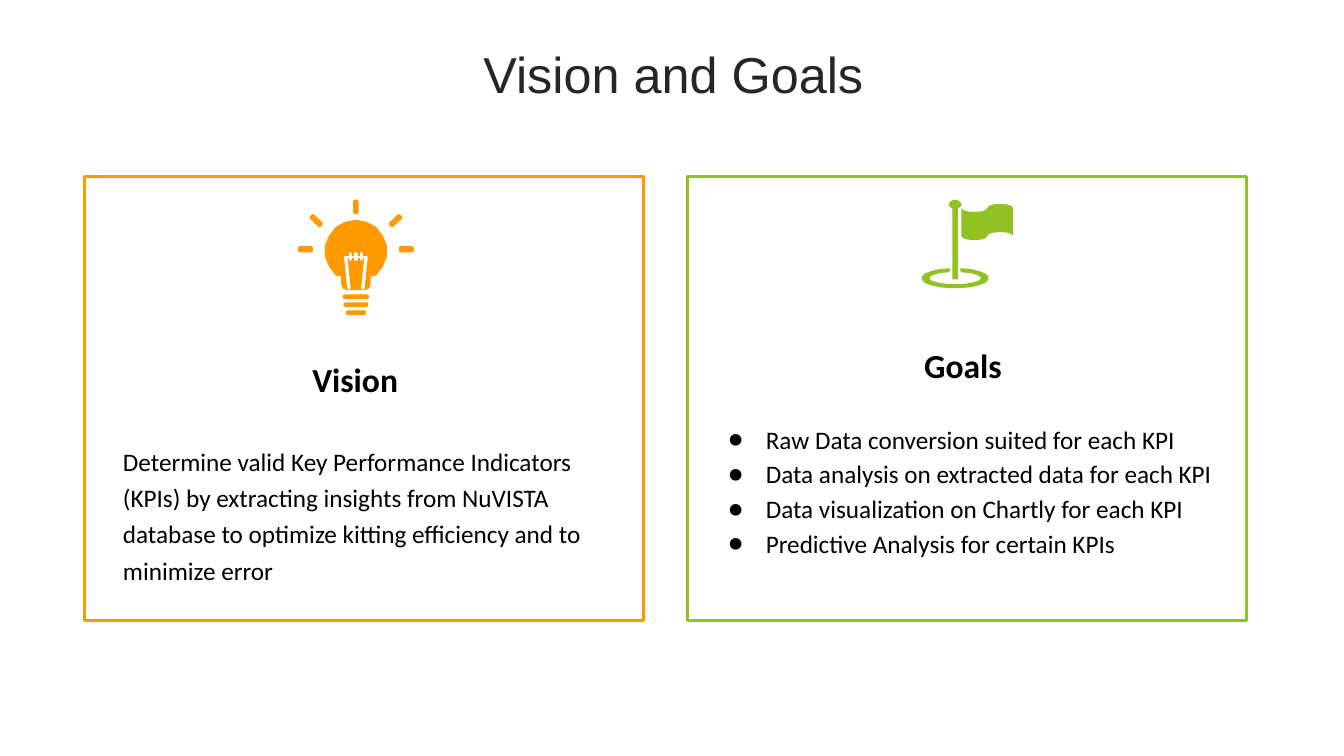
from math import cos, pi, radians, sin
from lxml import etree
from pptx import Presentation, util as u
from pptx.dml.color import RGBColor
from pptx.enum import shapes, text
from pptx.oxml.ns import qn

ORANGE = RGBColor(0xFF, 0x99, 0x00)
GREEN = RGBColor(0x90, 0xC2, 0x21)
BLACK = RGBColor(0, 0, 0)
GREY = RGBColor(0x26, 0x26, 0x26)

deck = Presentation()
deck.slide_width, deck.slide_height = u.Cm(33.87), u.Cm(19.05)
slide = deck.slides.add_slide(deck.slide_layouts[6])


def trace(loops, color):
    pen = slide.shapes.build_freeform(*loops[0][0], scale=u.Cm(0.01))
    for i, loop in enumerate(loops):
        if i:
            pen.move_to(*loop[0])
        pen.add_line_segments(loop[1:])
    icon = pen.convert_to_shape()
    icon.shadow.inherit = False
    icon.fill.solid()
    icon.fill.fore_color.rgb = color
    icon.line.fill.background()


def write(x, y, w, h, lines):
    frame = slide.shapes.add_textbox(u.Cm(x), u.Cm(y), u.Cm(w), u.Cm(h)).text_frame
    frame.word_wrap = True
    frame.margin_top = frame.margin_bottom = u.Cm(0.25)
    frame.text = "\n".join(lines)
    return frame


mid = 897
globe = [(mid + 79 * cos(radians(a)), 633 + 79 * sin(radians(a))) for a in range(130, 411, 20)]
neck = [(37, 697), (37, 716), (33, 727), (22, 731)]
body = globe + [(mid + x, y) for x, y in neck] + [(mid - x, y) for x, y in reversed(neck)]
half = [
    (0, 635), (5, 638), (5, 645), (10, 645), (10, 638), (14, 635), (18, 638), (18, 645),
    (28, 645), (30, 648), (22, 726), (19, 730), (13, 728), (21, 650), (18, 650),
    (18, 655), (14, 658), (10, 655), (10, 650), (5, 650), (5, 655), (0, 658),
]
wire = [(mid - x, y) for x, y in half] + [(mid + x, y) for x, y in half[-2:0:-1]]
bulb = [body, wire]
bars = [
    (0, 748, 66, 13, 0), (0, 768, 61, 13, 0), (0, 788, 51, 13, 0),
    (-127, 628, 38, 15, 0), (-100, 556, 38, 15, 43), (0, 521, 36, 15, 90),
    (100, 556, 38, 15, 137), (127, 628, 38, 15, 0),
]
for x, y, long, wide, turn in bars:
    a, b, cut = long / 2, wide / 2, wide / 4
    edge = [(a - cut, -b), (a, -cut), (a, cut), (a - cut, b)]
    edge += [(-p, -q) for p, q in edge]
    c, s = cos(radians(turn)), sin(radians(turn))
    bulb.append([(mid + x + p * c - q * s, y + p * s + q * c) for p, q in edge])
trace(bulb, ORANGE)

pole = 2407
ring = [(pole + 85 * cos(radians(a)), 701 + 25.5 * sin(radians(a))) for a in range(-81, 262, 18)]
ring += [(pole + 65 * cos(radians(a)), 701 + 15.5 * sin(radians(a))) for a in range(258, -79, -24)]
mast = [(pole + 16 * cos(radians(a)), 515 + 11.5 * sin(radians(a))) for a in range(117, 424, 34)]
mast += [(pole + 7, 704), (pole - 7, 704)]
top = [
    (2423 + 65 * k + 32.5 * (1 - cos(pi * t / 6)), 524 + 10 * (1 - 2 * k) * sin(pi * t / 6))
    for k in range(2) for t in range(k, 7)
]
cloth = top + [(x, y + 71) for x, y in reversed(top)]
trace([ring, cloth, mast], GREEN)

vision = [
    "Vision",
    "Determine valid Key Performance Indicators (KPIs) by extracting insights "
    "from NuVISTA database to optimize kitting efficiency and to minimize error",
]
goals = [
    "Goals",
    "Raw Data conversion suited for each KPI",
    "Data analysis on extracted data for each KPI",
    "Data visualization on Chartly for each KPI",
    "Predictive Analysis for certain KPIs",
]
blocks = [
    ((2.85, 8.59, 13.08, 9.32), vision, 4.77, 29.2, 1.2, False),
    ((17.78, 8.23, 13.77, 9.5), goals, 5.26, 24.7, 1.15, True),
]
for area, lines, indent, gap, pitch, listed in blocks:
    for i, para in enumerate(write(*area, lines).paragraphs):
        props = para._p.get_or_add_pPr()
        para.line_spacing = pitch
        if i == 0:
            para.line_spacing = 1.2
            para.space_after = u.Pt(gap)
            props.set("marL", str(u.Cm(indent)))
        elif listed:
            props.set("marL", str(u.Cm(1.27)))
            props.set("indent", str(u.Cm(-0.95)))
            tint = etree.SubElement(props, qn("a:buClr"))
            etree.SubElement(tint, qn("a:srgbClr")).set("val", str(BLACK))
            etree.SubElement(props, qn("a:buFont")).set("typeface", "Calibri")
            etree.SubElement(props, qn("a:buChar")).set("char", "●")
        for run in para.runs:
            run.font.name = "Calibri"
            run.font.size = u.Pt(18 if i else 24)
            run.font.bold = i == 0
            run.font.color.rgb = BLACK

title = write(0.89, 0.94, 32.16, 2.01, ["Vision and Goals"])
title.vertical_anchor = text.MSO_ANCHOR.MIDDLE
head = title.paragraphs[0]
head.alignment = text.PP_ALIGN.CENTER
head.line_spacing = 0.9
head.font.size = u.Pt(36)
head.font.name = "Arial"
head.font.color.rgb = GREY

for left, color in [(2.13, ORANGE), (17.32, GREEN)]:
    panel = slide.shapes.add_shape(
        shapes.MSO_SHAPE.RECTANGLE, u.Cm(left), u.Cm(4.45), u.Cm(14.09), u.Cm(11.18))
    panel.shadow.inherit = False
    panel.fill.background()
    panel.line.color.rgb = color
    panel.line.width = u.Pt(2.25)

deck.save("out.pptx")
